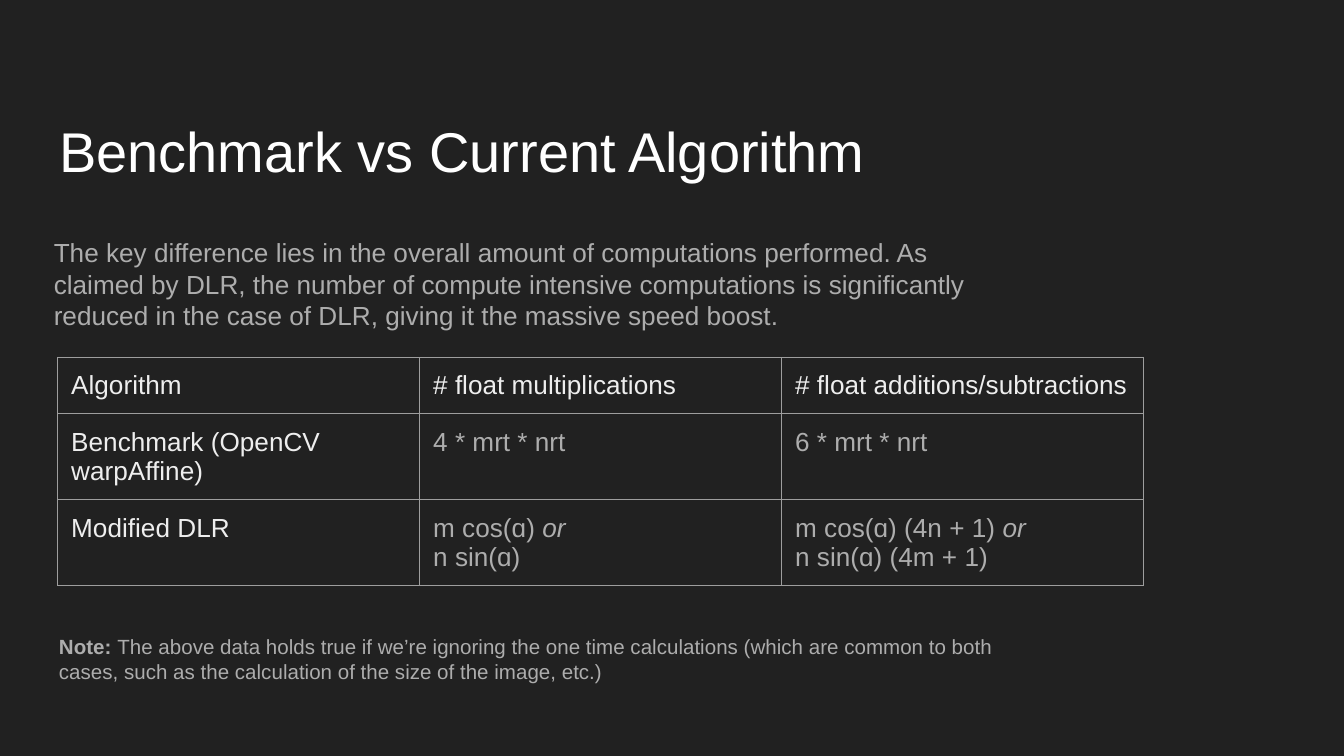
"""Build the slide comparing the benchmark with the modified DLR algorithm."""
from lxml.etree import SubElement
from pptx import Presentation
from pptx.dml.color import RGBColor
from pptx.enum.text import MSO_ANCHOR, MSO_AUTO_SIZE, PP_ALIGN
from pptx.oxml.ns import qn
from pptx.util import Inches, Pt

WHITE, LIGHT, GRAY, BORDER, DARK = "FFFFFF", "EEEEEE", "ADADAD", "9E9E9E", "212121"


def color(value):
    return RGBColor.from_string(value)


def write_runs(paragraph, runs, size, text_color):
    paragraph.alignment = PP_ALIGN.LEFT
    for text, style in runs:
        run = paragraph.add_run()
        run.text = text.rstrip("\n")
        formats = {"name": "Arial", "size": Pt(size), "bold": False, "italic": False}
        for name, value in (formats | style).items():
            setattr(run.font, name, value)
        run.font.color.rgb = color(text_color)
        if text.endswith("\n"):
            paragraph.add_line_break()


presentation = Presentation()
presentation.slide_width, presentation.slide_height = Inches(10), Inches(10) * 9 // 16
slide = presentation.slides.add_slide(presentation.slide_layouts[0])
slide.background.fill.solid()
slide.background.fill.fore_color.rgb = color(DARK)

margins = {f"margin_{side}": Inches(0.1) for side in ("left", "top", "right", "bottom")}
title_runs = [("Benchmark vs Current Algorithm", {})]
body_runs = [(
    "The key difference lies in the overall amount of computations performed. As claimed by DLR, "
    "the number of compute intensive computations is significantly reduced in the case of DLR, "
    "giving it the massive speed boost.", {})]
note_runs = [("Note: ", {"bold": True}), (
    "The above data holds true if we’re ignoring the one time calculations (which are common to "
    "both cases, such as the calculation of the size of the image, etc.)", {})]

italic = {"italic": True}
rows = [
    ["Algorithm", "# float multiplications", "# float additions/subtractions"],
    ["Benchmark (OpenCV warpAffine)", "4 * mrt * nrt", "6 * mrt * nrt"],
    ["Modified DLR",
     [("m cos(ɑ) ", {}), ("or\n", italic), ("n sin(ɑ)", {})],
     [("m cos(ɑ) (4n + 1) ", {}), ("or\n", italic), ("n sin(ɑ) (4m + 1)", {})]],
]
row_heights = [0.42, 0.64, 0.64]
table = slide.shapes.add_table(
    3, 3, Inches(0.43), Inches(2.66), Inches(8.08), Inches(sum(row_heights))).table

for row_index, (row, height) in enumerate(zip(rows, row_heights)):
    table.rows[row_index].height = Inches(height)
    for column_index, content in enumerate(row):
        cell = table.cell(row_index, column_index)
        for name, value in margins.items():
            setattr(cell, name, value)
        is_heading = row_index == 0 or column_index == 0
        runs = [(content, {})] if isinstance(content, str) else content
        write_runs(cell.text_frame.paragraphs[0], runs, 14, LIGHT if is_heading else GRAY)
        properties = cell._tc.get_or_add_tcPr()
        for edge in ("lnL", "lnR", "lnT", "lnB"):
            line = SubElement(properties, qn(f"a:{edge}"), w=str(Pt(0.75)))
            fill = SubElement(line, qn("a:solidFill"))
            SubElement(fill, qn("a:srgbClr"), val=BORDER)
        cell.fill.background()

note = slide.shapes.add_textbox(0, 0, Inches(1), Inches(1))
for shape, box, runs, size, text_color, anchor in [
    (slide.shapes.title, (0.34, 0.83, 6.28, 0.64), title_runs, 30, WHITE, MSO_ANCHOR.BOTTOM),
    (slide.placeholders[1], (0.3, 1.66, 7.28, 0.97), body_runs, 14, GRAY, MSO_ANCHOR.TOP),
    (note, (0.34, 4.62, 7.28, 0.64), note_runs, 11, GRAY, MSO_ANCHOR.TOP),
]:
    shape.left, shape.top, shape.width, shape.height = map(Inches, box)
    frame_formats = {"word_wrap": True, "auto_size": MSO_AUTO_SIZE.NONE, "vertical_anchor": anchor}
    for name, value in (margins | frame_formats).items():
        setattr(shape.text_frame, name, value)
    paragraph = shape.text_frame.paragraphs[0]
    paragraph.line_spacing = 1.0
    paragraph.space_before = Pt(0)
    write_runs(paragraph, runs, size, text_color)

presentation.save("out.pptx")
